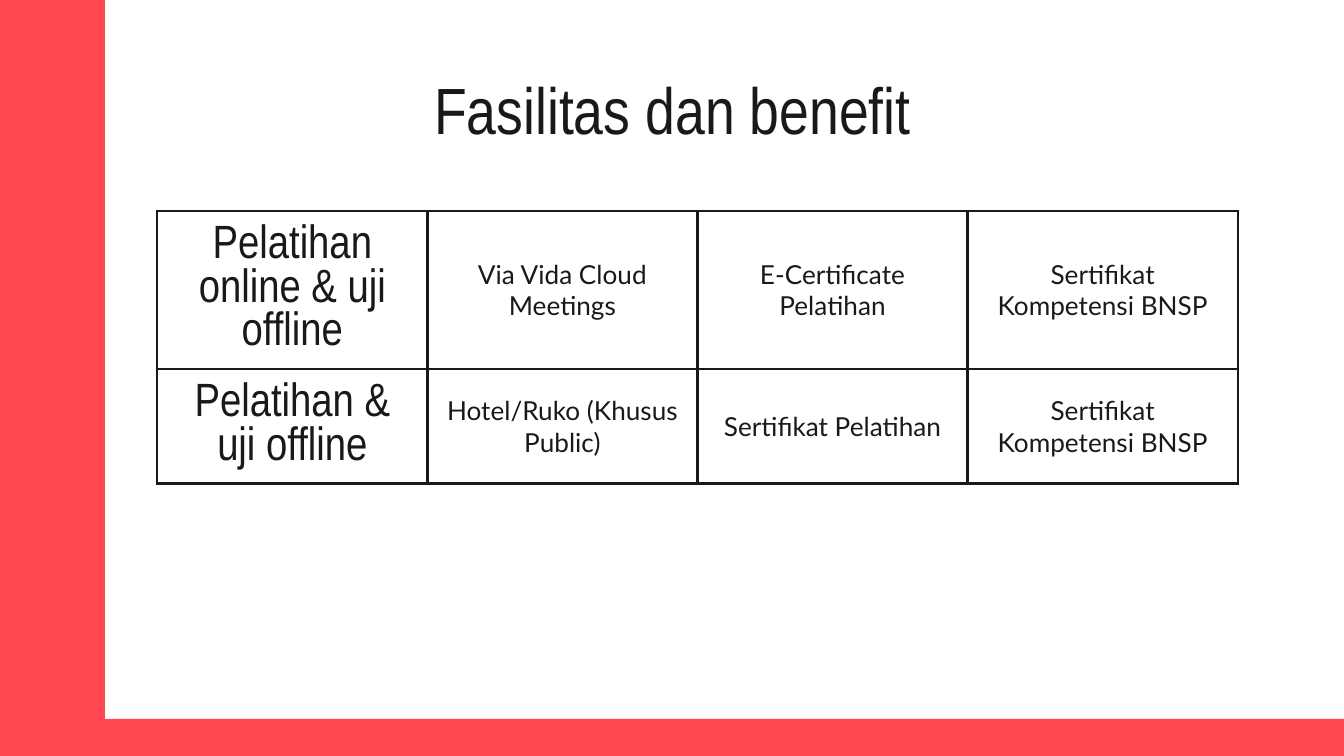
from lxml.etree import SubElement
from pptx import Presentation
from pptx.dml.color import RGBColor
from pptx.enum.shapes import MSO_SHAPE
from pptx.enum.text import MSO_ANCHOR, PP_ALIGN
from pptx.oxml.ns import qn
from pptx.util import Inches, Pt

COLORS = {"accent": "FF4852", "ink": "191919", "paper": "FFFFFF"}
PAGE_WIDTH = 10
PAGE_HEIGHT = PAGE_WIDTH * 9 / 16
HEADING_FONT = "Arial Narrow"
BODY_FONT = "Lato"
FACILITIES = [
    ["Pelatihan online & uji offline", "Via Vida Cloud Meetings",
     "E-Certificate Pelatihan", "Sertifikat Kompetensi BNSP"],
    ["Pelatihan & uji offline", "Hotel/Ruko (Khusus Public)",
     "Sertifikat Pelatihan", "Sertifikat Kompetensi BNSP"],
]


def color(name):
    return RGBColor.from_string(COLORS[name])


def format_text(frame, font_name, size):
    for para in frame.paragraphs:
        para.alignment = PP_ALIGN.CENTER
        for span in para.runs:
            span.font.name = font_name
            span.font.size = Pt(size)
            span.font.bold = False
            span.font.color.rgb = color("ink")


def set_margins(holder):
    holder.margin_left = holder.margin_right = Inches(0.1)
    holder.margin_top = holder.margin_bottom = Inches(0.1)
    holder.vertical_anchor = MSO_ANCHOR.MIDDLE


def add_bar(page, left, top, width, height):
    bar = page.shapes.add_shape(MSO_SHAPE.RECTANGLE, Inches(left), Inches(top),
                                Inches(width), Inches(height))
    bar.shadow.inherit = False
    bar.fill.solid()
    bar.fill.fore_color.rgb = color("accent")
    bar.line.fill.background()


def place_title(page, text, left, top, width, height):
    title = page.shapes.title
    title.left, title.top = Inches(left), Inches(top)
    title.width, title.height = Inches(width), Inches(height)
    frame = title.text_frame
    frame.text = text
    frame.word_wrap = True
    set_margins(frame)
    format_text(frame, HEADING_FONT, 35)


def add_borders(cell):
    properties = cell._tc.get_or_add_tcPr()
    for position, side in enumerate(("a:lnL", "a:lnR", "a:lnT", "a:lnB")):
        line = SubElement(properties, qn(side), w=str(Pt(1.5)))
        properties.insert(position, line)
        fill = SubElement(line, qn("a:solidFill"))
        SubElement(fill, qn("a:srgbClr"), val=COLORS["ink"])


def add_facility_table(page, rows, left, top, width, row_height):
    table = page.shapes.add_table(
        len(rows), len(rows[0]), Inches(left), Inches(top),
        Inches(width), Inches(row_height * len(rows))).table
    table.first_row = False
    table.horz_banding = False
    for row_index, row in enumerate(rows):
        for column_index, text in enumerate(row):
            cell = table.cell(row_index, column_index)
            cell.text_frame.text = text
            set_margins(cell)
            if column_index == 0:
                cell.fill.background()
                format_text(cell.text_frame, HEADING_FONT, 25)
            else:
                cell.fill.solid()
                cell.fill.fore_color.rgb = color("paper")
                format_text(cell.text_frame, BODY_FONT, 14)
            add_borders(cell)


def main():
    deck = Presentation()
    deck.slide_width = Inches(PAGE_WIDTH)
    deck.slide_height = Inches(PAGE_HEIGHT)
    page = deck.slides.add_slide(deck.slide_layouts[5])
    page.background.fill.solid()
    page.background.fill.fore_color.rgb = color("paper")
    add_bar(page, 0, 0, 0.78, PAGE_HEIGHT)
    add_bar(page, -0.06, 5.35, 10.12, 0.6)
    place_title(page, "Fasilitas dan benefit", 0.79, 0.49, 8.43, 0.63)
    add_facility_table(page, FACILITIES, 1.17, 1.57, 8.04, 0.76)
    deck.save("out.pptx")


if __name__ == "__main__":
    main()
